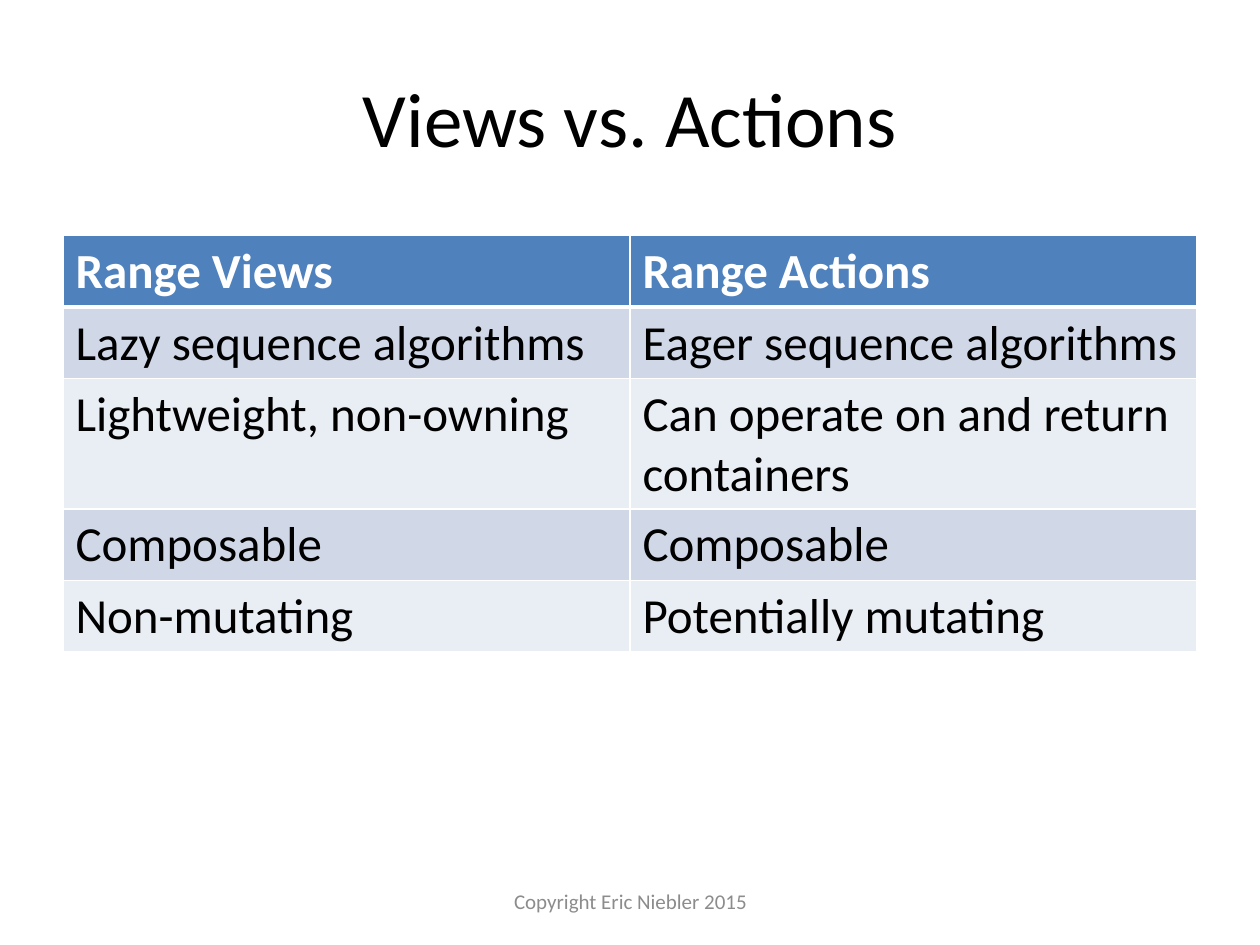
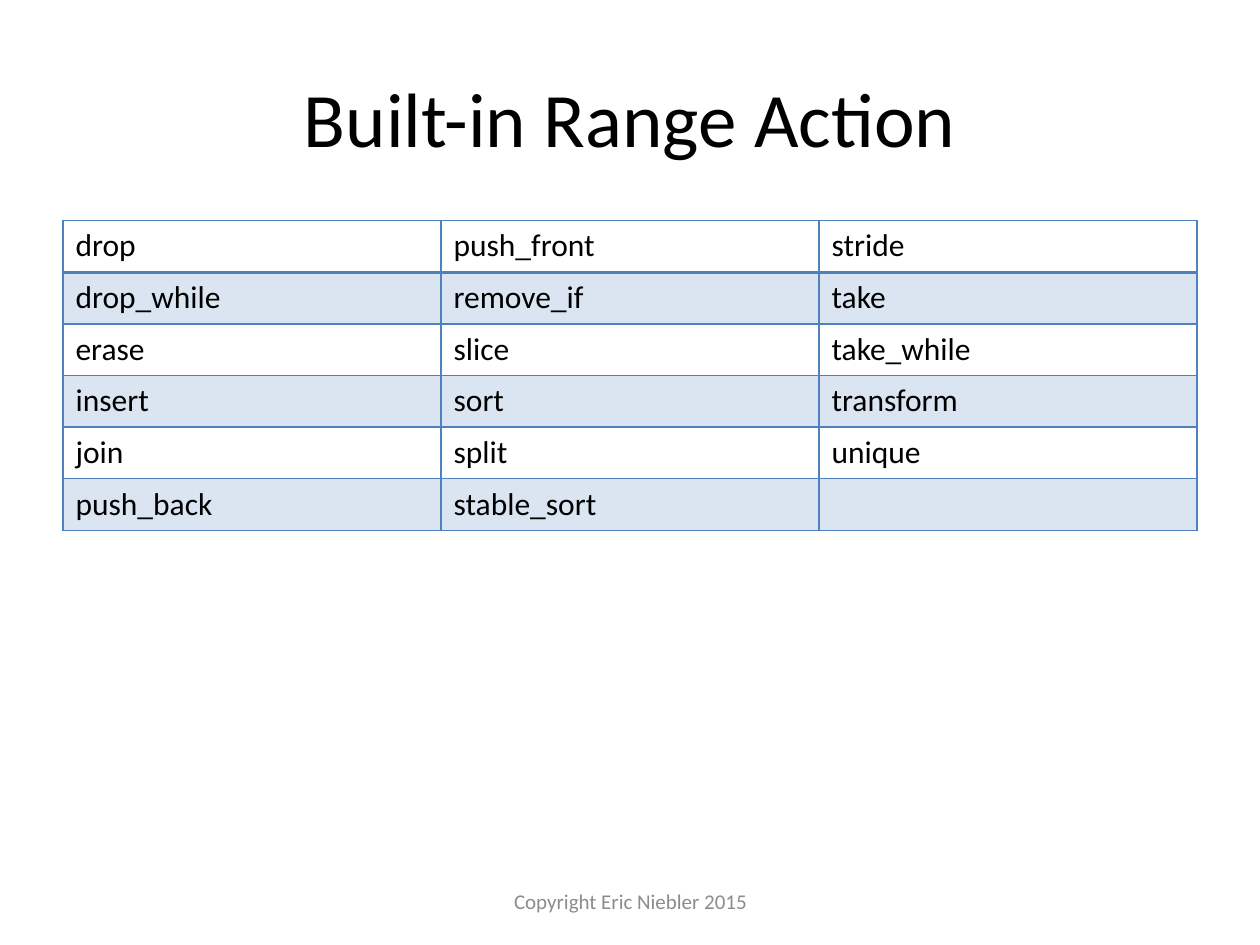
from dataclasses import dataclass

from lxml import etree
from pptx import Presentation
from pptx.dml.color import RGBColor
from pptx.enum import text as t
from pptx.oxml import ns
from pptx.util import Inches, Pt


@dataclass(frozen=True)
class Theme:
    font: str = "Calibri"
    ink: str = "000000"
    paper: str = "FFFFFF"
    accent: str = "4F81BD"
    band_dark: str = "D0D8E8"
    band_light: str = "E9EDF4"
    muted: str = "8C8C8C"
    title_size: int = 44
    comparison_size: int = 28
    list_size: int = 18
    footer_size: int = 12


THEME = Theme()
PAGE_WIDTH, PAGE_HEIGHT, MARGIN = 10, 7.5, 0.5
CONTENT_WIDTH = PAGE_WIDTH - 2 * MARGIN
ROW_HEIGHT = 0.41
TITLE_BOX = (MARGIN, 0.3, CONTENT_WIDTH, 1.25)
FOOTER_BOX = (3.42, 6.95, 3.17, 0.4)
FOOTER = "Copyright Eric Niebler 2015"

COMPARISON = [
    ("Range Views", "Range Actions"),
    ("Lazy sequence algorithms", "Eager sequence algorithms"),
    ("Lightweight, non-owning", "Can operate on and return containers"),
    ("Composable", "Composable"),
    ("Non-mutating", "Potentially mutating"),
]
ACTIONS = [
    ("drop", "push_front", "stride"),
    ("drop_while", "remove_if", "take"),
    ("erase", "slice", "take_while"),
    ("insert", "sort", "transform"),
    ("join", "split", "unique"),
    ("push_back", "stable_sort", ""),
]
SLIDES = [
    {
        "title": "Views vs. Actions", "rows": COMPARISON, "top": 1.87,
        "size": THEME.comparison_size, "header": True,
        "border": THEME.paper, "rule": 3, "alpha": 100,
        "bands": (THEME.band_light, THEME.band_dark),
    },
    {
        "title": "Built-in Range Action", "rows": ACTIONS, "top": 1.75,
        "size": THEME.list_size, "header": False,
        "border": THEME.accent, "rule": 2, "alpha": 20,
        "bands": (None, THEME.accent),
    },
]


def style_text(paragraph, size, color, bold=False):
    formats = {"name": THEME.font, "size": Pt(size), "bold": bold}
    for run in paragraph.runs:
        for attribute, value in formats.items():
            setattr(run.font, attribute, value)
        run.font.color.rgb = RGBColor.from_string(color)


def add_caption(slide, box, caption, size, color):
    frame = slide.shapes.add_textbox(*map(Inches, box)).text_frame
    formats = {"word_wrap": True, "vertical_anchor": t.MSO_ANCHOR.MIDDLE, "text": caption}
    for attribute, value in formats.items():
        setattr(frame, attribute, value)
    frame.paragraphs[0].alignment = t.PP_ALIGN.CENTER
    style_text(frame.paragraphs[0], size, color)


def fill_cell(cell, color, alpha):
    if color is None:
        cell.fill.background()
        return
    cell.fill.solid()
    cell.fill.fore_color.rgb = RGBColor.from_string(color)
    if alpha < 100:
        tint = cell._tc.tcPr.find(".//" + ns.qn("a:srgbClr"))
        etree.SubElement(tint, ns.qn("a:alpha"), val=str(alpha * 1000))


def border_cell(cell, color, widths):
    properties = cell._tc.get_or_add_tcPr()
    for position, (side, width) in enumerate(widths.items()):
        line = etree.Element(ns.qn("a:ln" + side), w=str(Pt(width)))
        solid = etree.SubElement(line, ns.qn("a:solidFill"))
        etree.SubElement(solid, ns.qn("a:srgbClr"), val=color)
        properties.insert(position, line)


def add_grid(slide, content):
    rows = content["rows"]
    columns = len(rows[0])
    box = (MARGIN, content["top"], CONTENT_WIDTH, ROW_HEIGHT * len(rows))
    table = slide.shapes.add_table(len(rows), columns, *map(Inches, box)).table
    table.first_row = table.horz_banding = False
    for column in table.columns:
        column.width = Inches(CONTENT_WIDTH / columns)
    for r, entries in enumerate(rows):
        table.rows[r].height = Inches(ROW_HEIGHT)
        heading = content["header"] and r == 0
        fill = THEME.accent if heading else content["bands"][r % 2]
        ink = THEME.paper if heading else THEME.ink
        widths = {
            "L": 1, "R": 1,
            "T": content["rule"] if r == 1 else 1,
            "B": content["rule"] if r == 0 else 1,
        }
        for c, entry in enumerate(entries):
            cell = table.cell(r, c)
            if entry:
                cell.text = entry
            style_text(cell.text_frame.paragraphs[0], content["size"], ink, heading)
            fill_cell(cell, fill, content["alpha"])
            border_cell(cell, content["border"], widths)


def main():
    deck = Presentation()
    deck.slide_width, deck.slide_height = Inches(PAGE_WIDTH), Inches(PAGE_HEIGHT)
    for content in SLIDES:
        slide = deck.slides.add_slide(deck.slide_layouts[6])
        add_caption(slide, TITLE_BOX, content["title"], THEME.title_size, THEME.ink)
        add_grid(slide, content)
        add_caption(slide, FOOTER_BOX, FOOTER, THEME.footer_size, THEME.muted)
    deck.save("out.pptx")


if __name__ == "__main__":
    main()
